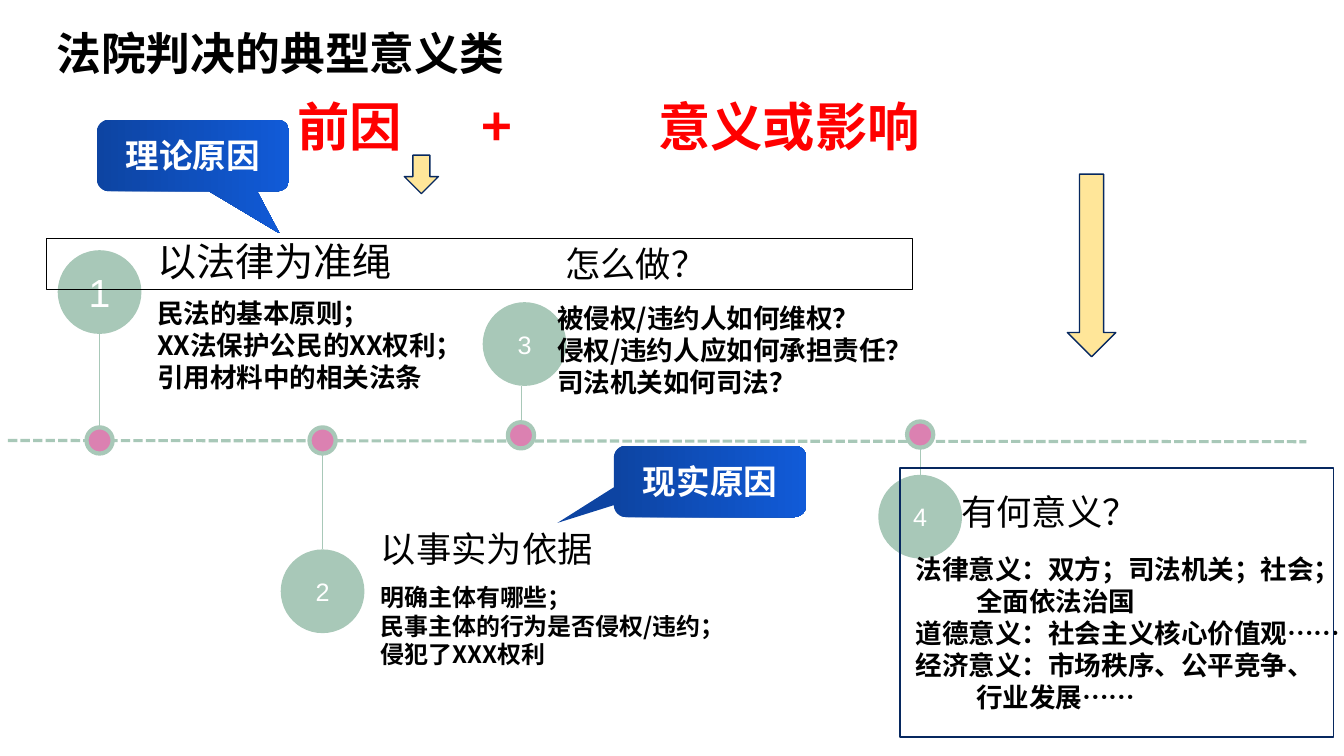
import pptx
import pptx.dml.color
import pptx.enum.dml
import pptx.enum.shapes
import pptx.enum.text
import pptx.oxml.ns
import pptx.util
from lxml import etree

Cm = pptx.util.Cm
Pt = pptx.util.Pt
RGBColor = pptx.dml.color.RGBColor
SHAPE = pptx.enum.shapes.MSO_SHAPE
ANCHOR = pptx.enum.text.MSO_ANCHOR
ALIGN = pptx.enum.text.PP_ALIGN
qn = pptx.oxml.ns.qn

BLACK = RGBColor(0, 0, 0)
WHITE = RGBColor(255, 255, 255)
RED = RGBColor(255, 0, 0)
SAGE = RGBColor(0xA8, 0xC8, 0xB8)
PINK = RGBColor(0xDB, 0x81, 0xB1)
CREAM = RGBColor(0xFF, 0xE6, 0x99)
NAVY = RGBColor(0x07, 0x28, 0x5F)
BLUE_DARK = RGBColor(0x0D, 0x44, 0xA2)
BLUE_BRIGHT = RGBColor(0x11, 0x5B, 0xD8)
SANS = "Noto Sans CJK SC"
SLIDE_WIDTH, SLIDE_HEIGHT = 33.87, 19.05
DOT, CIRCLE = 0.66, 2.11
INDENT = 1.52

TITLE = "法院判决的典型意义类"
FORMULA = "前因\t+\t意义或影响"
FORMULA_TABS = (4.65, 9.1)

STEPS = [
    dict(number="1", number_size=28, dot=(2.51, 11.1), circle=(2.51, 7.36),
         heading="以法律为准绳", heading_size=28, heading_box=(3.71, 6.05, 6.48, 1.24),
         details=["民法的基本原则；", "XX法保护公民的XX权利；", "引用材料中的相关法条"],
         details_size=19, details_box=(3.71, 7.37, 9.63, 2.69)),
    dict(number="2", number_size=18, dot=(8.13, 11.1), circle=(8.13, 14.9),
         heading="以事实为依据", heading_size=25.2, heading_box=(9.35, 13.23, 5.89, 1.24),
         details=["明确主体有哪些；", "民事主体的行为是否侵权/违约；", "侵犯了XXX权利"],
         details_size=17.1, details_box=(9.35, 14.55, 9.42, 2.72)),
    dict(number="4", number_size=18, dot=(23.19, 10.95), circle=(23.19, 13.02),
         heading="有何意义？", heading_size=25.2, heading_box=(23.98, 12.27, 5.89, 1.27),
         details=["法律意义：双方；司法机关；社会；", ("全面依法治国", INDENT),
                  "道德意义：社会主义核心价值观……", "经济意义：市场秩序、公平竞争、",
                  ("行业发展……", INDENT)],
         details_size=19, details_box=(22.83, 13.82, 11.04, 3.66)),
    dict(number="3", number_size=18, dot=(13.13, 10.97), circle=(13.22, 8.67),
         heading="怎么做？", heading_size=25.2, heading_box=(14, 6.05, 5.89, 1.24),
         details=["被侵权/违约人如何维权？", "侵权/违约人应如何承担责任？", "司法机关如何司法？"],
         details_size=19, details_box=(13.79, 7.49, 9.42, 2.72)),
]
FRAMES = [((1.17, 6.02, 21.84, 1.27), BLACK, 0.75), ((22.68, 11.79, 10.92, 6.78), NAVY, 1)]
DOWN_ARROWS = [(10.19, 3.91, 0.86, 0.97), (26.9, 4.39, 1.22, 4.6)]
CALLOUTS = [("理论原因", (2.44, 3.02, 4.85, 1.8), (0.45, 1.091, 0.167)),
            ("现实原因", (15.47, 11.23, 4.85, 1.8), (-0.793, 0.582, 0.167))]

deck = pptx.Presentation()
deck.slide_width, deck.slide_height = Cm(SLIDE_WIDTH), Cm(SLIDE_HEIGHT)
slide = deck.slides.add_slide(deck.slide_layouts[6])


def write(text, *, on, size, color=BLACK, face=SANS, bold=False, align=ALIGN.LEFT,
          anchor=ANCHOR.TOP, tabs=(), margin_right=0.25):
    frame = on.text_frame
    frame.word_wrap = True
    frame.vertical_anchor = anchor
    frame.margin_right = Cm(margin_right)
    for index, item in enumerate([text] if isinstance(text, str) else text):
        words, indent = (item, 0) if isinstance(item, str) else item
        paragraph = frame.paragraphs[0] if index == 0 else frame.add_paragraph()
        paragraph.alignment = align
        properties = paragraph._p.get_or_add_pPr()
        if indent:
            properties.set("marL", str(Cm(indent)))
            properties.set("indent", "0")
        if tabs:
            tab_list = etree.SubElement(properties, qn("a:tabLst"))
            for stop in tabs:
                etree.SubElement(tab_list, qn("a:tab"), pos=str(Cm(stop)), algn="l")
        run = paragraph.add_run()
        run.text = words
        run.font.name, run.font.size, run.font.bold = face, Pt(size), bold
        run.font.color.rgb = color
        etree.SubElement(run._r.get_or_add_rPr(), qn("a:ea"), typeface=SANS)


def write_box(text, box, **style):
    write(text, on=slide.shapes.add_textbox(*map(Cm, box)), **style)


def draw(preset, box, fill=None, line=None, width=1):
    shape = slide.shapes.add_shape(preset, *map(Cm, box))
    shape.shadow.inherit = False
    if fill is None:
        shape.fill.background()
    else:
        shape.fill.solid()
        shape.fill.fore_color.rgb = fill
    if line is None:
        shape.line.fill.background()
    else:
        shape.line.color.rgb = line
        shape.line.width = Pt(width)
    return shape


def draw_disc(center, diameter, fill, **outline):
    x, y = center
    return draw(SHAPE.OVAL, (x - diameter / 2, y - diameter / 2, diameter, diameter),
                fill, **outline)


def draw_line(start, end, width, dash=None):
    line = slide.shapes.add_connector(pptx.enum.shapes.MSO_CONNECTOR.STRAIGHT,
                                      *map(Cm, start + end))
    line.line.color.rgb = SAGE
    line.line.width = Pt(width)
    if dash is not None:
        line.line.dash_style = dash
    etree.SubElement(line._element.spPr, qn("a:effectLst"))


draw_line((0.2, 11.1), (32.92, 11.13), 2.25, pptx.enum.dml.MSO_LINE.SQUARE_DOT)

for step in STEPS:
    (dot_x, dot_y), (circle_x, circle_y) = step["dot"], step["circle"]
    toward_dot = 1 if dot_y > circle_y else -1
    draw_disc(step["dot"], DOT, PINK, line=SAGE, width=3)
    circle = draw_disc(step["circle"], CIRCLE, SAGE)
    write(step["number"], on=circle, size=step["number_size"], color=WHITE, face="Arial",
          align=ALIGN.CENTER, anchor=ANCHOR.MIDDLE)
    draw_line((dot_x, circle_y + toward_dot * CIRCLE / 2),
              (dot_x, dot_y - toward_dot * DOT / 2), 0.5)
    write_box(step["heading"], step["heading_box"], size=step["heading_size"],
              face="Arial", anchor=ANCHOR.BOTTOM)
    write_box(step["details"], step["details_box"], size=step["details_size"],
              bold=True, margin_right=0)

write_box(TITLE, (1.17, 0.53, 15.42, 1.63), size=32, bold=True)
write_box(FORMULA, (7.24, 2.24, 24.94, 1.9), size=37.4, color=RED, bold=True,
          tabs=FORMULA_TABS)

for box, color, width in FRAMES:
    draw(SHAPE.RECTANGLE, box, line=color, width=width)
for box in DOWN_ARROWS:
    draw(SHAPE.DOWN_ARROW, box, CREAM, NAVY)

for reason, box, tip in CALLOUTS:
    callout = draw(SHAPE.ROUNDED_RECTANGULAR_CALLOUT, box)
    for index, value in enumerate(tip):
        callout.adjustments[index] = value
    callout.fill.gradient()
    callout.fill.gradient_angle = 0
    for stop, color in zip(callout.fill.gradient_stops, (BLUE_DARK, BLUE_BRIGHT)):
        stop.color.rgb = color
    write(reason, on=callout, size=24, color=WHITE, face="Arial", bold=True,
          align=ALIGN.CENTER, anchor=ANCHOR.MIDDLE)

deck.save("out.pptx")
